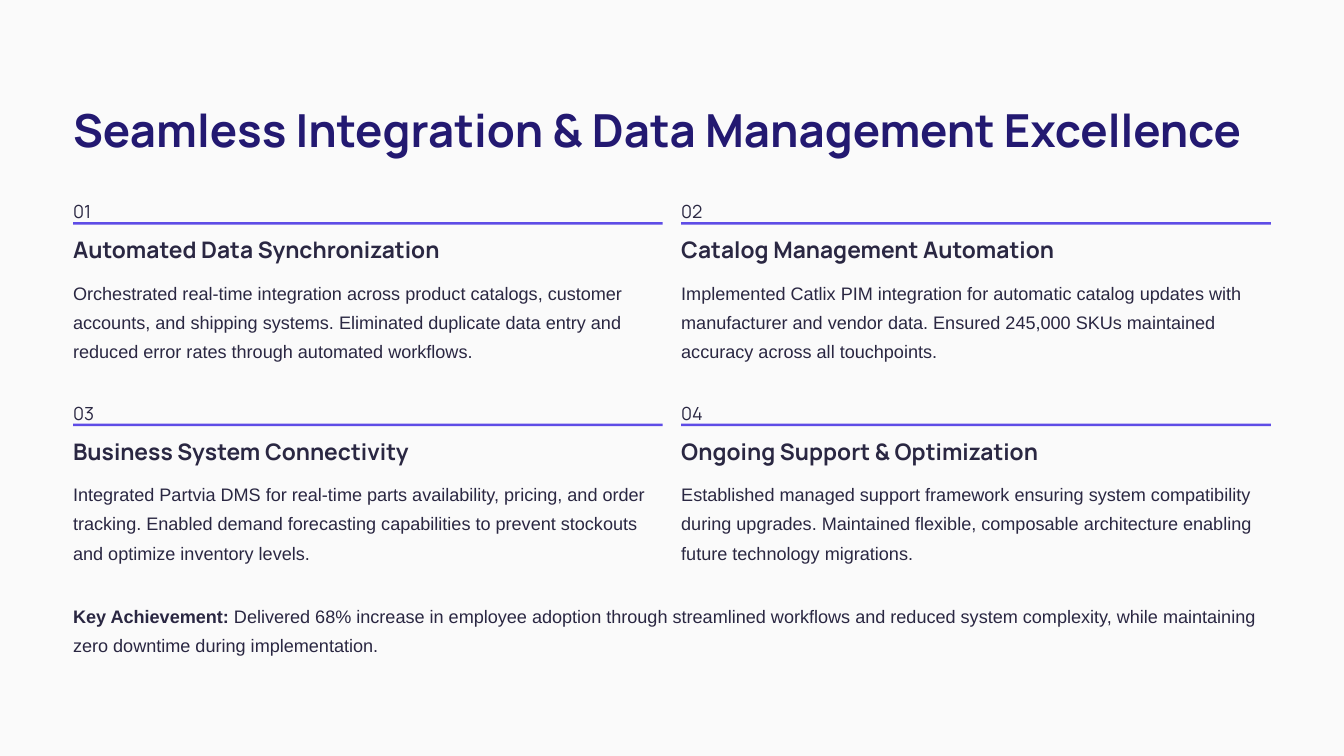
from dataclasses import dataclass

from pptx import Presentation
from pptx import util as u
from pptx.dml.color import RGBColor
from pptx.enum import shapes, text


@dataclass(frozen=True)
class Theme:
    ground: str = "FAFAFA"
    title_ink: str = "231971"
    ink: str = "2A2742"
    rule: str = "5E4CE6"
    display: str = "Manrope"
    body: str = "Arial"
    title_size: float = 39
    heading_size: float = 19.5
    body_size: float = 15.5
    title_pitch: float = 48.5
    heading_pitch: float = 24
    body_pitch: float = 25


THEME = Theme()
WIDTH, HEIGHT = 16, 9
MARGIN = 0.87
CONTENT = WIDTH - 2 * MARGIN
COLUMNS, GUTTER = 2, 0.22
CARD_WIDTH = (CONTENT - GUTTER) / COLUMNS
CARD_TOP, CARD_PITCH = 2.3, 2.4

TITLE = "Seamless Integration & Data Management Excellence"
CARDS = [
    ("Automated Data Synchronization",
     "Orchestrated real-time integration across product catalogs, customer accounts, "
     "and shipping systems. Eliminated duplicate data entry and reduced error rates "
     "through automated workflows."),
    ("Catalog Management Automation",
     "Implemented Catlix PIM integration for automatic catalog updates with "
     "manufacturer and vendor data. Ensured 245,000 SKUs maintained accuracy across "
     "all touchpoints."),
    ("Business System Connectivity",
     "Integrated Partvia DMS for real-time parts availability, pricing, and order "
     "tracking. Enabled demand forecasting capabilities to prevent stockouts and "
     "optimize inventory levels."),
    ("Ongoing Support & Optimization",
     "Established managed support framework ensuring system compatibility during "
     "upgrades. Maintained flexible, composable architecture enabling future "
     "technology migrations."),
]
ACHIEVEMENT = [
    ("Key Achievement:", True),
    (" Delivered 68% increase in employee adoption through streamlined workflows and "
     "reduced system complexity, while maintaining zero downtime during "
     "implementation.", False),
]


def place(shape, left, top, width, height):
    values = {"left": left, "top": top, "width": width, "height": height}
    for name, value in values.items():
        setattr(shape, name, u.Inches(value))


def write(shape, spans, size, pitch, font=THEME.body, ink=THEME.ink, wrap=True):
    """Fill a shape with one paragraph of (wording, bold) spans."""
    frame = shape.text_frame
    frame_format = {"margin_left": 0, "margin_top": 0, "margin_right": 0,
                    "margin_bottom": 0, "word_wrap": wrap,
                    "auto_size": text.MSO_AUTO_SIZE.NONE,
                    "vertical_anchor": text.MSO_ANCHOR.TOP}
    for name, value in frame_format.items():
        setattr(frame, name, value)
    para = frame.paragraphs[0]
    para.alignment = text.PP_ALIGN.LEFT
    para.line_spacing = u.Pt(pitch)
    for wording, bold in spans:
        span = para.add_run()
        span.text = wording
        for name, value in {"name": font, "size": u.Pt(size), "bold": bold}.items():
            setattr(span.font, name, value)
        span.font.color.rgb = RGBColor.from_string(ink)


def add_text(page, box, spans, size, pitch, **options):
    shape = page.shapes.add_textbox(*map(u.Inches, box))
    write(shape, spans, size, pitch, **options)


def add_title(page, left, top, width):
    title = page.shapes.title
    place(title, left, top, width, 0.68)
    write(title, [(TITLE, True)], THEME.title_size, THEME.title_pitch,
          font=THEME.display, ink=THEME.title_ink, wrap=False)


def add_card(page, left, top, width, number, heading, body):
    # Number above the rule
    add_text(page, (left, top, 0.22, 0.27), [(f"{number:02d}", False)],
             THEME.body_size, THEME.body_pitch, font=THEME.display, wrap=False)
    # Rule
    rule = page.shapes.add_shape(shapes.MSO_SHAPE.RECTANGLE,
                                 *map(u.Inches, (left, top + 0.345, width, 0.03)))
    rule.shadow.inherit = False
    rule.fill.solid()
    rule.fill.fore_color.rgb = RGBColor.from_string(THEME.rule)
    rule.line.fill.background()
    # Heading and description
    add_text(page, (left, top + 0.5, width, 0.34), [(heading, True)],
             THEME.heading_size, THEME.heading_pitch, font=THEME.display, wrap=False)
    add_text(page, (left, top + 0.97, width, 1.04), [(body, False)],
             THEME.body_size, THEME.body_pitch)


def add_cards(page, left, top, width):
    for index, (heading, body) in enumerate(CARDS):
        row, column = divmod(index, COLUMNS)
        add_card(page, left + column * (width + GUTTER), top + row * CARD_PITCH,
                 width, index + 1, heading, body)


def main():
    deck = Presentation()
    deck.slide_width, deck.slide_height = u.Inches(WIDTH), u.Inches(HEIGHT)
    page = deck.slides.add_slide(deck.slide_layouts.get_by_name("Title Only"))
    page.background.fill.solid()
    page.background.fill.fore_color.rgb = RGBColor.from_string(THEME.ground)

    add_title(page, MARGIN, 1.19, CONTENT)
    add_cards(page, MARGIN, CARD_TOP, CARD_WIDTH)
    # Closing statement
    add_text(page, (MARGIN, 7.12, CONTENT, 0.69), ACHIEVEMENT,
             THEME.body_size, THEME.body_pitch)
    deck.save("out.pptx")


if __name__ == "__main__":
    main()
